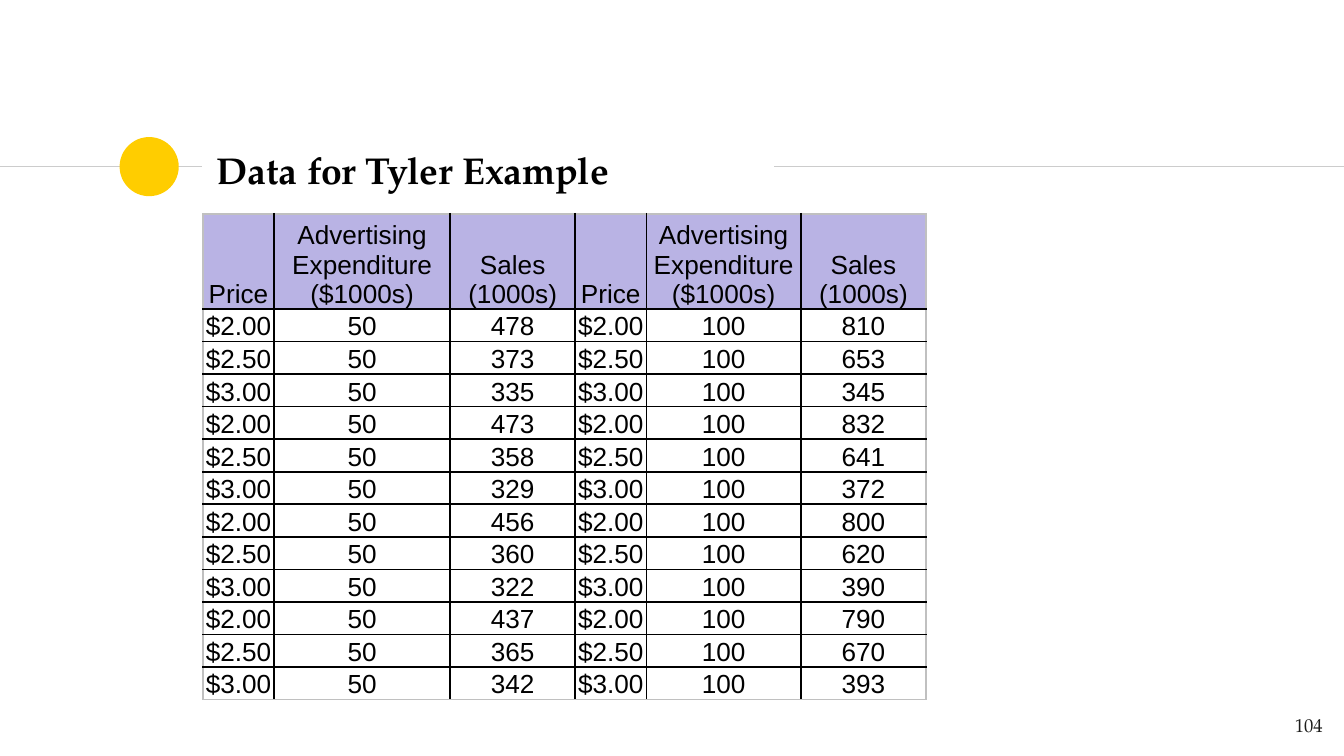
"""Build the Tyler example data slide."""
from dataclasses import dataclass

from lxml import etree
from pptx import Presentation
from pptx import util as u
from pptx.dml.color import RGBColor
from pptx.enum import shapes, text
from pptx.oxml import ns


@dataclass(frozen=True)
class Theme:
    """Colours, fonts and type sizes of the slide."""
    ink: str = "000000"
    soft_ink: str = "1D1D1B"
    accent: str = "FFCD00"
    rule: str = "CCCCCC"
    header: str = "B9B3E4"
    frame: str = "C0C0C0"
    serif: str = "TeX Gyre Pagella"
    sans: str = "Arial"
    title_size: float = 20
    number_size: float = 10
    table_size: float = 14


THEME = Theme()
HEADERS = ["Price", "Advertising Expenditure ($1000s)", "Sales (1000s)"]
PRICES = ["$2.00", "$2.50", "$3.00"]
SALES = {
    50: [478, 373, 335, 473, 358, 329, 456, 360, 322, 437, 365, 342],
    100: [810, 653, 345, 832, 641, 372, 800, 620, 390, 790, 670, 393],
}
COLUMN_WIDTHS = [0.53, 1.31, 0.93, 0.53, 1.15, 0.93]
HEADER_HEIGHT, BODY_HEIGHT = 0.69, 2.8


def write_text(frame, words, *, font, size, color=THEME.ink, bold=False,
               align=text.PP_ALIGN.LEFT, spacing=1.0):
    """Write one formatted paragraph into a text frame."""
    frame.word_wrap = True
    para = frame.paragraphs[0]
    para.alignment = align
    para.line_spacing = spacing
    para.space_before = u.Pt(0)
    span = para.add_run()
    span.text = words
    span.font.name = font
    span.font.size = u.Pt(size)
    span.font.bold = bold
    span.font.color.rgb = RGBColor.from_string(color)


def set_margins(frame, inset):
    """Give a text frame the same margin on every side."""
    frame.margin_left = frame.margin_right = u.Inches(inset)
    frame.margin_top = frame.margin_bottom = u.Inches(inset)


def add_rule(page, start, end, top):
    """Draw a thin horizontal rule."""
    rule = page.shapes.add_connector(
        shapes.MSO_CONNECTOR.STRAIGHT,
        u.Inches(start), u.Inches(top), u.Inches(end), u.Inches(top))
    rule.line.color.rgb = RGBColor.from_string(THEME.rule)
    rule.line.width = u.Pt(0.75)
    etree.SubElement(rule._element.spPr, ns.qn("a:effectLst"))


def add_dot(page, left, top, size):
    """Draw the accent circle."""
    dot = page.shapes.add_shape(
        shapes.MSO_SHAPE.OVAL, u.Inches(left), u.Inches(top),
        u.Inches(size), u.Inches(size))
    dot.shadow.inherit = False
    dot.fill.solid()
    dot.fill.fore_color.rgb = RGBColor.from_string(THEME.accent)
    dot.line.fill.background()


def add_title(page, words):
    """Place and fill the title placeholder."""
    title = page.shapes.title
    title.left, title.top = u.Inches(1.51), u.Inches(1.02)
    title.width, title.height = u.Inches(4.24), u.Inches(0.48)
    frame = title.text_frame
    set_margins(frame, 0.1)
    frame.auto_size = text.MSO_AUTO_SIZE.NONE
    frame.vertical_anchor = text.MSO_ANCHOR.MIDDLE
    write_text(frame, words, font=THEME.serif, size=THEME.title_size, bold=True)


def add_page_number(page, number):
    """Add the page number at the lower right."""
    box = page.shapes.add_textbox(
        u.Inches(9.34), u.Inches(5.19), u.Inches(0.6), u.Inches(0.43))
    set_margins(box.text_frame, 0.1)
    write_text(box.text_frame, number, font=THEME.serif, size=THEME.number_size,
               color=THEME.soft_ink, align=text.PP_ALIGN.RIGHT, spacing=1.15)


def set_borders(cell, colors):
    """Draw the cell borders, given a colour for each side."""
    properties = cell._tc.get_or_add_tcPr()
    for index, (side, color) in enumerate(colors.items()):
        border = etree.Element(ns.qn(f"a:ln{side}"), w=str(u.Pt(1)))
        fill = etree.SubElement(border, ns.qn("a:solidFill"))
        etree.SubElement(fill, ns.qn("a:srgbClr"), val=color)
        properties.insert(index, border)


def format_cell(cell, words, is_header):
    """Fill one table cell with centred text."""
    cell.margin_left = cell.margin_right = cell.margin_top = u.Pt(0.6)
    cell.margin_bottom = 0
    cell.vertical_anchor = text.MSO_ANCHOR.BOTTOM
    if is_header:
        cell.fill.solid()
        cell.fill.fore_color.rgb = RGBColor.from_string(THEME.header)
    else:
        cell.fill.background()
    write_text(cell.text_frame, words, font=THEME.sans, size=THEME.table_size,
               align=text.PP_ALIGN.CENTER)


def table_rows():
    """Return the header and the data rows, one column group per budget."""
    rows = [HEADERS * len(SALES)]
    for index, sales in enumerate(zip(*SALES.values())):
        price = PRICES[index % len(PRICES)]
        rows.append([str(value) for budget, sold in zip(SALES, sales)
                     for value in (price, budget, sold)])
    return rows


def add_data_table(page, rows):
    """Add the table with black inner lines and a grey outer frame."""
    last_row, last_column = len(rows) - 1, len(COLUMN_WIDTHS) - 1
    heights = [HEADER_HEIGHT] + [BODY_HEIGHT / last_row] * last_row
    table = page.shapes.add_table(
        len(rows), len(COLUMN_WIDTHS), u.Inches(1.51), u.Inches(1.59),
        u.Inches(sum(COLUMN_WIDTHS)), u.Inches(sum(heights))).table
    table.first_row = table.horz_banding = False
    for column, width in zip(table.columns, COLUMN_WIDTHS):
        column.width = u.Inches(width)
    for r, (row, height) in enumerate(zip(rows, heights)):
        table.rows[r].height = u.Inches(height)
        for c, words in enumerate(row):
            cell = table.cell(r, c)
            format_cell(cell, words, is_header=r == 0)
            outer = {"L": c == 0, "R": c == last_column,
                     "T": r == 0, "B": r == last_row}
            set_borders(cell, {side: THEME.frame if edge else THEME.ink
                               for side, edge in outer.items()})


def main():
    """Build and save the deck."""
    deck = Presentation()
    deck.slide_width = u.Inches(10)
    deck.slide_height = deck.slide_width * 9 // 16
    page = deck.slides.add_slide(deck.slide_layouts.get_by_name("Title Only"))
    add_rule(page, 0, 1.5, 1.24)
    add_dot(page, 0.89, 1.02, 0.44)
    add_rule(page, 5.76, 10, 1.24)
    add_title(page, "Data for Tyler Example")
    add_page_number(page, "104")
    add_data_table(page, table_rows())
    deck.save("out.pptx")


if __name__ == "__main__":
    main()
